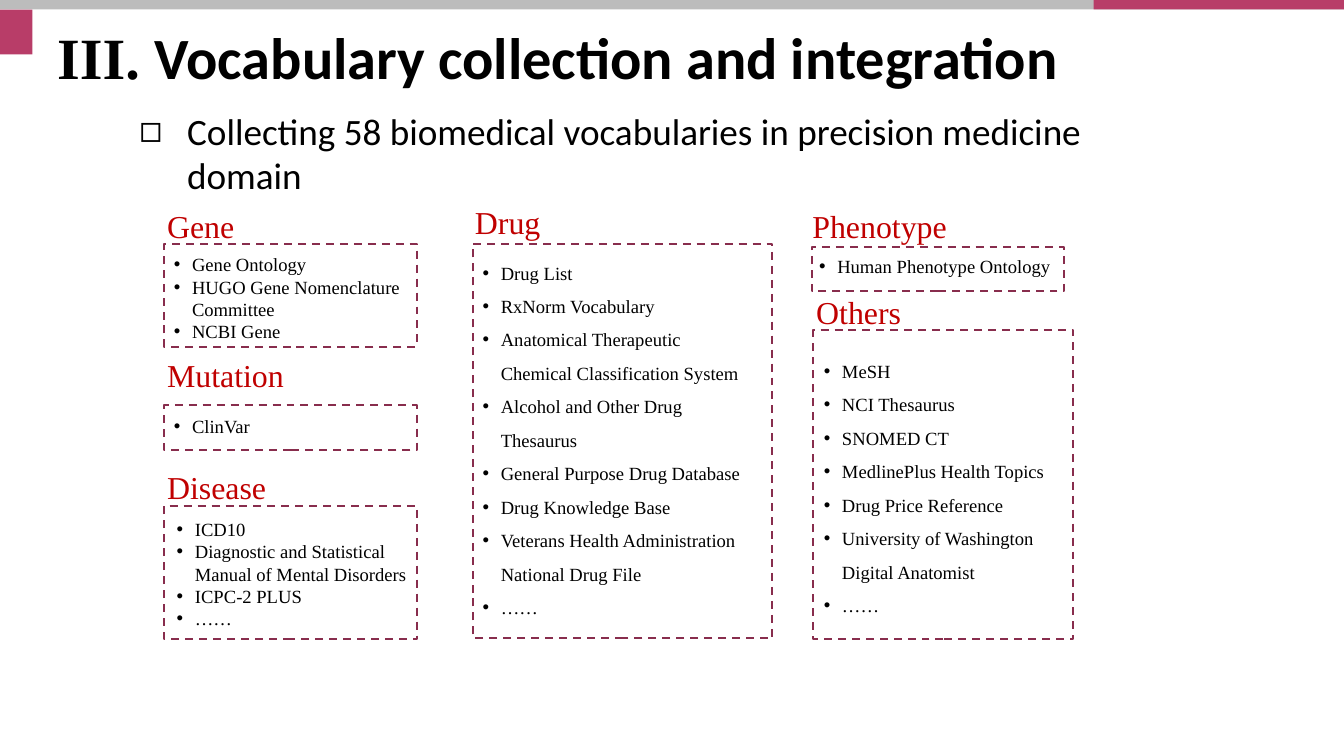
from dataclasses import dataclass
from lxml.etree import SubElement
from pptx import Presentation
from pptx.dml.color import RGBColor as Rgb
from pptx.enum.dml import MSO_LINE as Dash
from pptx.enum.shapes import MSO_SHAPE as Kind
from pptx.enum.text import MSO_ANCHOR as Anchor, MSO_AUTO_SIZE as Fit
from pptx.oxml.ns import qn
from pptx.util import Inches, Pt


@dataclass(frozen=True)
class Theme:
    gray: str = "BCBCBC"
    pink: str = "B83D68"
    plum: str = "882D4D"
    red: str = "C00000"
    black: str = "000000"
    sans: str = "Calibri"
    serif: str = "Times New Roman"
    title: int = 44
    lead: int = 28
    head: int = 24
    item: int = 14


THEME = Theme()

PANELS = [
    ("Gene", (1.65, 2.11), (1.72, 2.55, 2.64, 1.08), (1.72, 2.6, 2.99, 1.51), 1,
     ["Gene Ontology", "HUGO Gene Nomenclature Committee", "NCBI Gene"]),
    ("Mutation", (1.65, 3.67), (1.72, 4.24, 2.64, 0.47), (1.72, 4.29, 2.99, 0.34), 1,
     ["ClinVar"]),
    ("Disease", (1.65, 4.84), (1.72, 5.29, 2.64, 1.4), (1.75, 5.37, 2.99, 1.28), 1,
     ["ICD10", "Diagnostic and Statistical Manual of Mental Disorders",
      "ICPC-2 PLUS", "……"]),
    ("Drug", (4.87, 2.07), (4.95, 2.55, 3.13, 4.13), (4.95, 2.57, 2.99, 3.99), 1.5,
     ["Drug List", "RxNorm Vocabulary",
      "Anatomical Therapeutic Chemical Classification System",
      "Alcohol and Other Drug Thesaurus", "General Purpose Drug Database",
      "Drug Knowledge Base", "Veterans Health Administration National Drug File",
      "……"]),
    ("Phenotype", (8.4, 2.11), (8.49, 2.58, 2.64, 0.47), (8.47, 2.62, 2.99, 0.34), 1,
     ["Human Phenotype Ontology"]),
    ("Others", (8.44, 3.01), (8.51, 3.45, 2.72, 3.24), (8.52, 3.6, 2.53, 2.93), 1.5,
     ["MeSH", "NCI Thesaurus", "SNOMED CT", "MedlinePlus Health Topics",
      "Drug Price Reference", "University of Washington Digital Anatomist", "……"]),
]


def add_rect(slide, area, fill=None, line=None):
    rect = slide.shapes.add_shape(Kind.RECTANGLE, *map(Inches, area))
    rect.shadow.inherit = False
    if fill:
        rect.fill.solid()
        rect.fill.fore_color.rgb = Rgb.from_string(fill)
    else:
        rect.fill.background()
    if line:
        rect.line.color.rgb = Rgb.from_string(line)
        rect.line.width = Pt(1.5)
        rect.line.dash_style = Dash.DASH
    else:
        rect.line.fill.background()


def add_mark(para, mark, indent):
    props = para._p.get_or_add_pPr()
    props.set("marL", str(Inches(indent)))
    props.set("indent", str(-Inches(indent)))
    SubElement(props, qn("a:buFont"), typeface="Arial")
    SubElement(props, qn("a:buChar"), char=mark)


def add_text(slide, area, lines, size, font=THEME.serif, color=THEME.black,
             bold=False, space=1, mark=None, indent=0.19,
             anchor=Anchor.TOP, fit=Fit.SHAPE_TO_FIT_TEXT):
    frame = slide.shapes.add_textbox(*map(Inches, area)).text_frame
    frame.word_wrap = True
    frame.auto_size = fit
    frame.vertical_anchor = anchor
    for at, line in enumerate(lines):
        para = frame.add_paragraph() if at else frame.paragraphs[0]
        para.line_spacing = space
        if mark:
            add_mark(para, mark, indent)
        for text, face in [(line, font)] if isinstance(line, str) else line:
            run = para.add_run()
            run.text = text
            run.font.name = face
            run.font.size = Pt(size)
            run.font.bold = bold
            run.font.color.rgb = Rgb.from_string(color)


def add_panel(slide, name, head, frame, body, space, items):
    add_rect(slide, frame, line=THEME.plum)
    add_text(slide, (*head, 1.67, 0.5), [name], THEME.head, color=THEME.red)
    add_text(slide, body, items, THEME.item, space=space, mark="•")


def main():
    deck = Presentation()
    deck.slide_width, deck.slide_height = Inches(14.06), Inches(7.91)
    slide = deck.slides.add_slide(deck.slide_layouts[6])
    add_rect(slide, (0, 0, 14.06, 0.1), THEME.gray)
    add_rect(slide, (11.44, 0, 2.62, 0.1), THEME.pink)
    add_rect(slide, (0, 0.1, 0.34, 0.47), THEME.pink)
    title = [("III. ", THEME.serif),
             ("Vocabulary collection and integration", THEME.sans)]
    add_text(slide, (0.5, 0.17, 12.13, 0.93), [title], THEME.title, bold=True,
             space=0.9, anchor=Anchor.MIDDLE, fit=Fit.NONE)
    for panel in PANELS:
        add_panel(slide, *panel)
    lead = "Collecting 58 biomedical vocabularies in precision medicine domain"
    add_text(slide, (1.36, 1.08, 10.39, 1.04), [lead], THEME.lead,
             font=THEME.sans, mark="◻", indent=0.5)
    deck.save("out.pptx")


if __name__ == "__main__":
    main()
